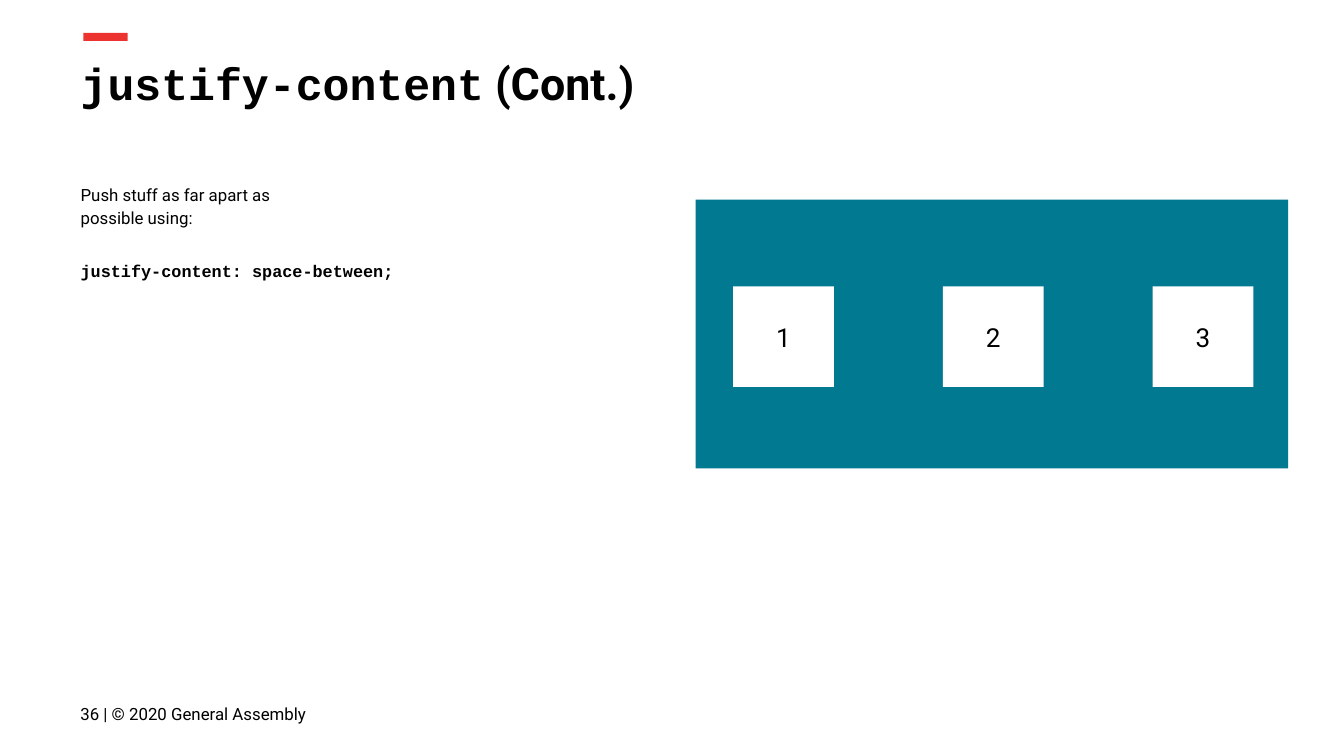
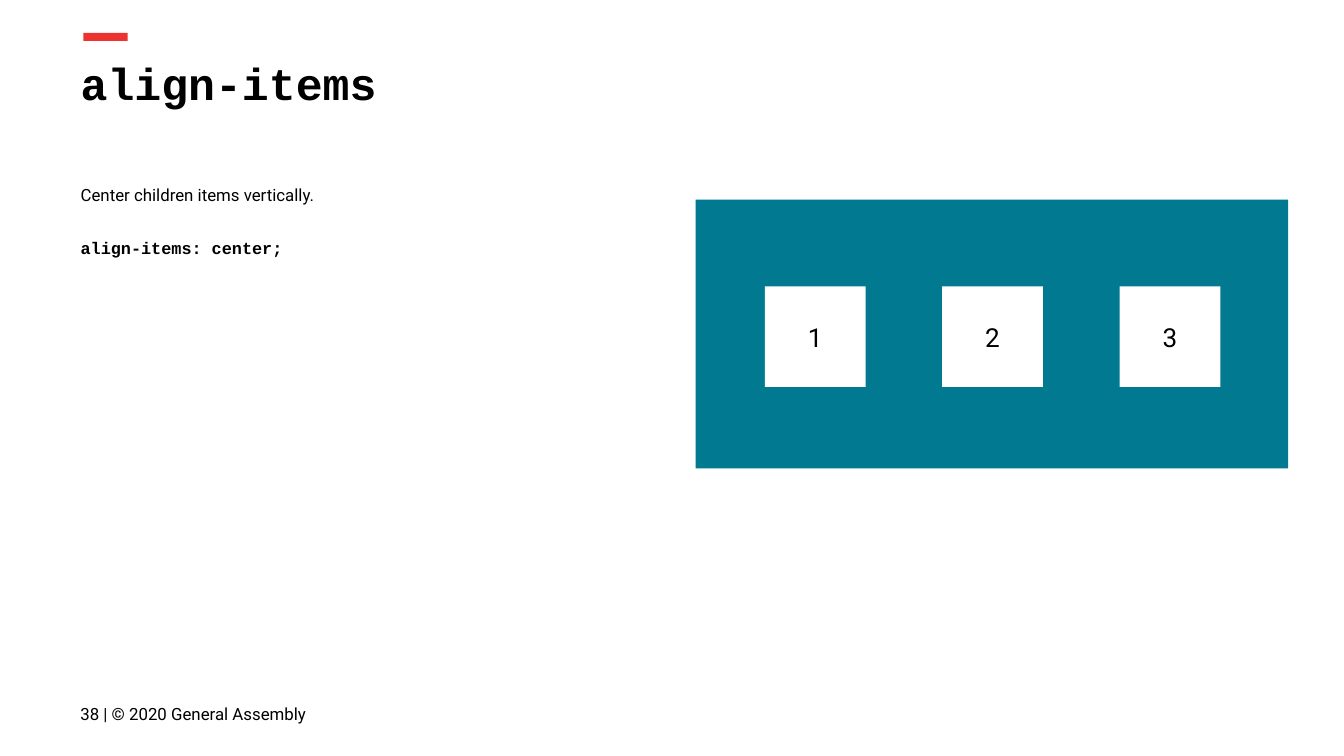
import pptx
import pptx.dml.color
import pptx.enum.shapes
import pptx.enum.text
import pptx.oxml.ns
import pptx.util
from lxml import etree

PX = 4572  # EMU per px, 200 px to the inch
COLORS = {"text": "000000", "accent": "ED332F", "panel": "017991", "box": "FFFFFF"}
SANS, MONO = "Roboto", "Courier New"
PANEL = (1035, 297, 882, 400)
BOX_TOP, BOX_SIZE = 426, 150

Pt = pptx.util.Pt
qn = pptx.oxml.ns.qn
ALIGN = pptx.enum.text.PP_ALIGN
ANCHOR = pptx.enum.text.MSO_ANCHOR


def rgb(name):
    return pptx.dml.color.RGBColor.from_string(COLORS[name])


def emu(*lengths):
    return [n * PX for n in lengths]


def place(sp, *bounds):
    sp.left, sp.top, sp.width, sp.height = emu(*bounds)


def setup_frame(sp, anchor):
    tf = sp.text_frame
    tf.word_wrap = True
    tf.auto_size = pptx.enum.text.MSO_AUTO_SIZE.NONE
    tf.vertical_anchor = anchor
    tf.margin_left = tf.margin_top = tf.margin_right = tf.margin_bottom = 20 * PX
    return tf


def style_run(r, size, name=SANS, bold=False):
    r.font.size, r.font.name, r.font.bold = Pt(size), name, bold
    r.font.color.rgb = rgb("text")


def add_rect(slide, color, *bounds):
    sp = slide.shapes.add_shape(pptx.enum.shapes.MSO_SHAPE.RECTANGLE, *emu(*bounds))
    sp.shadow.inherit = False
    sp.fill.solid()
    sp.fill.fore_color.rgb = rgb(color)
    sp.line.fill.background()
    return sp


def set_title(slide, parts):
    """Fill the title from (text, font) parts on one baseline."""
    place(slide.shapes.title, 100, 62, 1864, 126)
    p = setup_frame(slide.shapes.title, ANCHOR.TOP).paragraphs[0]
    p.alignment = ALIGN.LEFT
    p.line_spacing = Pt(29)
    for text, name in parts:
        r = p.add_run()
        r.text = text
        style_run(r, 24, name, True)


def style_body_paragraph(p, text, space, name, bold):
    p.text = text
    p.line_spacing = 1.15
    p.space_before = p.space_after = Pt(space)
    pPr = p._p.get_or_add_pPr()
    pPr.set("marL", "0")
    pPr.set("indent", "0")
    etree.SubElement(pPr, qn("a:buNone"))
    for br in p._p.findall(qn("a:br")):
        etree.SubElement(br, qn("a:rPr"), sz="900")
    for r in p.runs:
        style_run(r, 9, name, bold)


def set_body(slide, width, explanation, code):
    body = slide.placeholders[1]
    place(body, 100, 250, width, 642)
    tf = setup_frame(body, ANCHOR.TOP)
    style_body_paragraph(tf.paragraphs[0], explanation, 0, SANS, False)
    style_body_paragraph(tf.add_paragraph(), code, 16, MONO, True)


def add_footer(slide, number):
    sp = slide.shapes.add_textbox(*emu(100, 1020, 518, 86))
    tf = setup_frame(sp, ANCHOR.MIDDLE)
    tf.text = f"{number} | © 2020 General Assembly"
    style_run(tf.paragraphs[0].runs[0], 9)


def add_flex_demo(slide, first_left, step):
    """Draw the container panel with three numbered, evenly spaced items."""
    add_rect(slide, "panel", *PANEL)
    for i in range(3):
        sp = add_rect(slide, "box", first_left + i * step, BOX_TOP, BOX_SIZE, BOX_SIZE)
        tf = setup_frame(sp, ANCHOR.MIDDLE)
        tf.text = str(i + 1)
        tf.paragraphs[0].alignment = ALIGN.CENTER
        style_run(tf.paragraphs[0].runs[0], 14)


def add_flex_slide(prs, number, title, body, demo):
    slide = prs.slides.add_slide(prs.slide_layouts[1])
    add_rect(slide, "accent", 124, 49, 66, 12)
    set_title(slide, title)
    set_body(slide, *body)
    add_footer(slide, number)
    add_flex_demo(slide, *demo)


def main():
    prs = pptx.Presentation()
    prs.slide_width, prs.slide_height = emu(2000, 1125)
    add_flex_slide(
        prs, 36,
        title=[("justify-content", MONO), (" (Cont.)", SANS)],
        body=(1030, "Push stuff as far apart as \vpossible using:",
              "justify-content: space-between;"),
        demo=(1091, 312))
    add_flex_slide(
        prs, 38,
        title=[("align-items", MONO)],
        body=(900, "Center children items vertically.", "align-items: center;"),
        demo=(1138, 264))
    prs.save("out.pptx")


if __name__ == "__main__":
    main()
